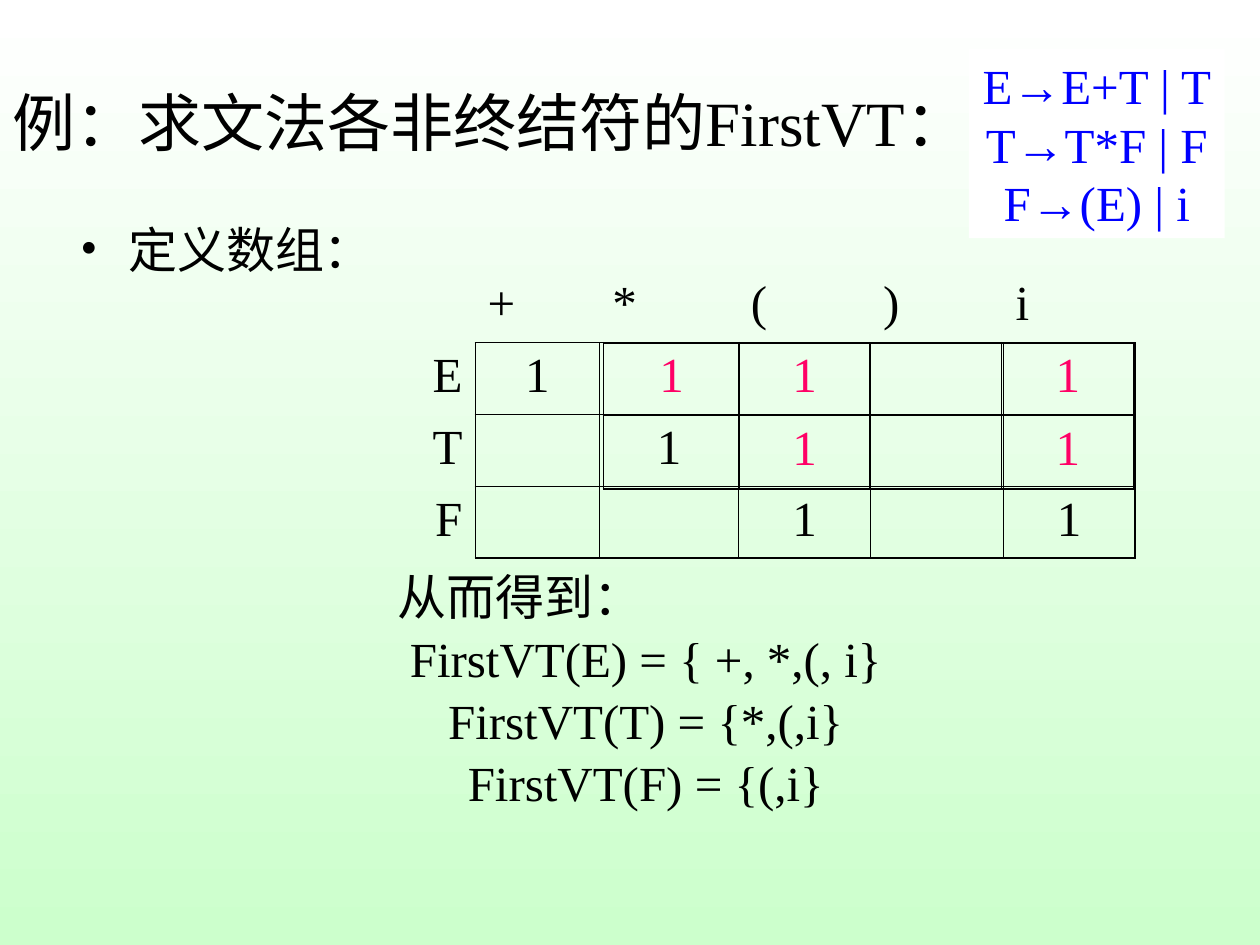
from itertools import groupby

from lxml.etree import SubElement
from pptx import Presentation
from pptx.dml.color import RGBColor
from pptx.enum.shapes import MSO_SHAPE as Shape
from pptx.enum.text import MSO_ANCHOR as Anchor, MSO_AUTO_SIZE as AutoSize, PP_ALIGN as Align
from pptx.oxml.ns import qn
from pptx.util import Inches, Pt

NO_STYLE = "{2D5ABB26-0587-4C30-8999-92F81FD0307C}"


def color(hex_string):
    return RGBColor.from_string(hex_string)


def write(paragraph, text, size=28, ink="000000", font="Times New Roman",
          arrow_font="Arial", align=Align.LEFT, before=0):
    """Fill a paragraph; newlines become line breaks, arrows get their own font."""
    paragraph.alignment = align
    paragraph.space_before = Pt(before)
    for number, line in enumerate(text.split("\n")):
        if number:
            paragraph.add_line_break()
        for is_arrow, letters in groupby(line, lambda letter: letter == "→"):
            run = paragraph.add_run()
            run.text = "".join(letters)
            run.font.size = Pt(size)
            run.font.name = arrow_font if is_arrow else font
            run.font.color.rgb = color(ink)


def indent(paragraph, left, first=0):
    properties = paragraph._p.get_or_add_pPr()
    properties.set("marL", str(Inches(left)))
    properties.set("indent", str(Inches(first)))
    return properties


def border(cell, side, width):
    line = SubElement(cell._tc.get_or_add_tcPr(), qn(f"a:ln{side}"), w=str(Pt(width)))
    fill = SubElement(line, qn("a:solidFill"))
    SubElement(fill, qn("a:srgbClr"), val="000000")


class SlideBuilder:
    thin, heavy = 0.45, 1.08

    def __init__(self, presentation):
        self.slide = presentation.slides.add_slide(presentation.slide_layouts[5])

    def background(self, top, bottom):
        fill = self.slide.background.fill
        fill.gradient()
        fill.gradient_angle = 270
        for stop, ink in zip(fill.gradient_stops, (top, bottom)):
            stop.color.rgb = color(ink)

    def title(self, text, left, top, width, height):
        title = self.slide.shapes.title
        title.left, title.top = Inches(left), Inches(top)
        title.width, title.height = Inches(width), Inches(height)
        frame = title.text_frame
        frame.auto_size = AutoSize.NONE
        frame.vertical_anchor = Anchor.MIDDLE
        write(frame.paragraphs[0], text, size=36)

    def text_box(self, lines, left, top, width, height, **style):
        box = self.slide.shapes.add_textbox(*map(Inches, (left, top, width, height)))
        frame = box.text_frame
        frame.word_wrap = True
        for number, line in enumerate(lines):
            paragraph = frame.add_paragraph() if number else frame.paragraphs[0]
            write(paragraph, line, **style)
        return frame.paragraphs

    def bullet(self, text, *place):
        paragraph = self.text_box([text], *place, before=7)[0]
        paragraph.line_spacing = 0.8
        properties = indent(paragraph, 0.38, -0.38)
        SubElement(properties, qn("a:buFont"), typeface="Times New Roman")
        SubElement(properties, qn("a:buChar"), char="•")

    def panel(self, text, left, top, width, height, fill, **style):
        shape = self.slide.shapes.add_shape(
            Shape.RECTANGLE, *map(Inches, (left, top, width, height)))
        shape.shadow.inherit = False
        shape.fill.solid()
        shape.fill.fore_color.rgb = color(fill)
        shape.line.fill.background()
        frame = shape.text_frame
        frame.word_wrap = False
        frame.vertical_anchor = Anchor.TOP
        write(frame.paragraphs[0], text, **style)

    def table(self, rows, left, top, widths, row_height, ink="000000", labels=False):
        """Draw a grid; with labels, the first row and column stay outside its lines."""
        height = row_height * len(rows)
        table = self.slide.shapes.add_table(
            len(rows), len(widths),
            *map(Inches, (left, top, sum(widths), height))).table
        table.first_row = table.horz_banding = False
        table._tbl.tblPr.find(qn("a:tableStyleId")).text = NO_STYLE
        for column, width in zip(table.columns, widths):
            column.width = Inches(width)
        start = int(labels)
        for r, values in enumerate(rows):
            table.rows[r].height = Inches(row_height)
            for c, value in enumerate(values):
                cell = table.cell(r, c)
                if r >= start and c >= start:
                    align = Align.CENTER
                    edges = {"L": c == 0, "R": c == len(widths) - 1,
                             "T": r == 0, "B": r == len(rows) - 1}
                    for side, outer in edges.items():
                        border(cell, side, self.heavy if outer else self.thin)
                else:
                    align = Align.LEFT if r < start else Align.RIGHT
                cell.fill.background()
                if value:
                    write(cell.text_frame.paragraphs[0], value, ink=ink,
                          align=align, before=7)


def main():
    presentation = Presentation()
    presentation.slide_width, presentation.slide_height = Inches(10), Inches(7.5)
    builder = SlideBuilder(presentation)
    builder.background("FFFFFF", "CCFFCC")

    # Heading and lead-in
    builder.title("例：求文法各非终结符的FirstVT：", 0, 0.48, 7.87, 0.97)
    builder.bullet("定义数组：", 0.54, 1.78, 4.76, 0.5)

    # Initial array
    builder.table([["", "+", "*", "(", ")", "i"],
                   ["E", "1", "", "", "", ""],
                   ["T", "", "1", "", "", ""],
                   ["F", "", "", "1", "", "1"]],
                  2.72, 2.15, [1.05, 0.99, 1.1, 1.05, 1.05, 1.05], 0.57, labels=True)

    # Grammar
    builder.panel("E→E+T | T\nT→T*F | F\nF→(E) | i", 7.69, 0.39, 2.03, 1.5,
                  "FFFFFF", ink="0000FF", align=Align.CENTER)

    # Derived entries laid over the array
    builder.table([["1", "1", "", "1"],
                   ["", "1", "", "1"]],
                  4.79, 2.72, [1.08, 1.03, 1.05, 1.05], 0.58, ink="FF0066")

    # Resulting sets
    heading, *results = builder.text_box(
        ["从而得到：", "FirstVT(E) = { +, *,(, i}", "FirstVT(T) = {*,(,i}",
         "FirstVT(F) = {(,i}"],
        0.79, 4.45, 6.67, 2.04, align=Align.CENTER, before=1.8)
    for paragraph in results:
        indent(paragraph, 2)

    presentation.save("out.pptx")


if __name__ == "__main__":
    main()
